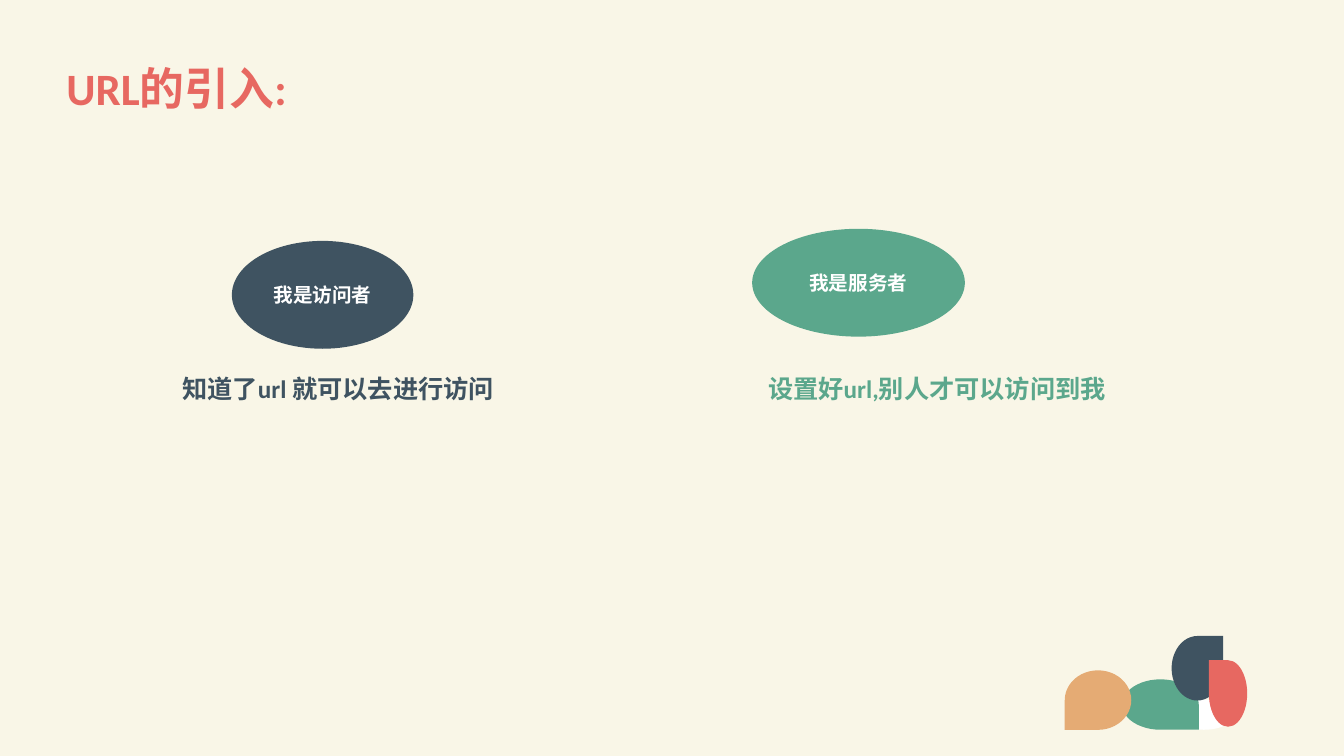
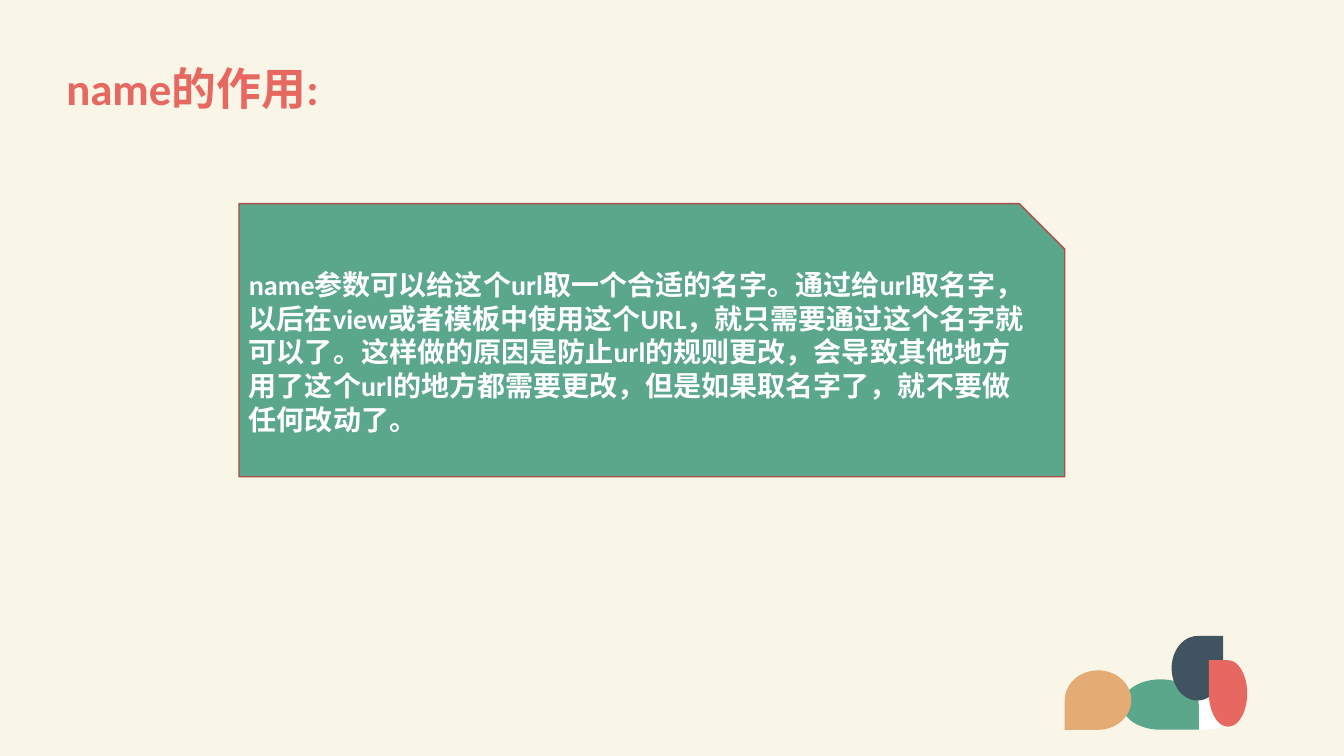
from dataclasses import dataclass

from pptx import Presentation
from pptx.dml.color import RGBColor
from pptx.enum.lang import MSO_LANGUAGE_ID as LANG
from pptx.enum.shapes import MSO_SHAPE as SHAPE
from pptx.enum.text import MSO_ANCHOR as ANCHOR, PP_ALIGN as ALIGN
from pptx.util import Inches, Pt


@dataclass(frozen=True)
class Theme:
    """Colours, font and type sizes shared by the slides."""
    cream: str = "F9F6E7"
    coral: str = "E76861"
    green: str = "5BA78C"
    navy: str = "3F5361"
    sand: str = "E5AB74"
    brick: str = "AB4D48"
    white: str = "FFFFFF"
    font: str = "Calibri"
    title: int = 32
    body: int = 20
    caption: int = 18
    label: int = 14


T = Theme()
TITLE_BOX = (0.56, 0.37, 12.29, 1.06)
DECOR_BOX = (10.56, 6.31, 1.8, 0.93)
PETALS = [
    (0.57, 0.43, 0.76, 0.5, T.green, "flipV"),
    (1.06, 0, 0.51, 0.64, T.navy, None),
    (1.43, 0.24, 0.38, 0.66, T.coral, "flipH"),
    (0, 0.34, 0.66, 0.59, T.sand, "both"),
]


def rgb(value):
    """Turn a hex string into a colour."""
    return RGBColor.from_string(value)


def write(sp, text, size, color, align=ALIGN.LEFT, anchor=ANCHOR.MIDDLE, spacing=None):
    """Put one bold paragraph into a shape."""
    tf = sp.text_frame
    tf.word_wrap = True
    tf.vertical_anchor = anchor
    p = tf.paragraphs[0]
    p.text = text
    p.alignment = align
    p.line_spacing = spacing
    for r in p.runs:
        r.font.name = T.font
        r.font.size = Pt(size)
        r.font.bold = True
        r.font.color.rgb = rgb(color)
        r.font.language_id = LANG.SIMPLIFIED_CHINESE


def add_text(slide, box, text, size, color, **style):
    """Add a text box filling the given box."""
    sp = slide.shapes.add_textbox(*map(Inches, box))
    write(sp, text, size, color, **style)


def add_filled(slide, kind, box, fill, line=None):
    """Add a flat preset shape with an optional outline."""
    sp = slide.shapes.add_shape(kind, *map(Inches, box))
    sp.shadow.inherit = False
    sp.fill.solid()
    sp.fill.fore_color.rgb = rgb(fill)
    if line:
        sp.line.color.rgb = rgb(line)
        sp.line.width = Pt(1)
    else:
        sp.line.fill.background()
    return sp


def add_decor(slide, box):
    """Draw the cluster of petals inside its box."""
    left, top = box[:2]
    add_filled(slide, SHAPE.OVAL, (left + 1.08, top + 0.63, 0.6, 0.3), T.white)
    for x, y, w, h, fill, flip in PETALS:
        sp = add_filled(slide, SHAPE.TEAR, (left + x, top + y, w, h), fill)
        if flip == "both":
            sp.rotation = 180
        elif flip:
            sp._element.spPr.xfrm.set(flip, "1")


def add_base(prs, title):
    """Add a slide with background, title and corner petals."""
    slide = prs.slides.add_slide(prs.slide_layouts[6])
    slide.background.fill.solid()
    slide.background.fill.fore_color.rgb = rgb(T.cream)
    add_text(slide, TITLE_BOX, title, T.title, T.coral, spacing=0.9)
    add_decor(slide, DECOR_BOX)
    return slide


def add_role(slide, oval_box, label, caption_box, caption, color):
    """Add a labelled oval with a caption in its colour."""
    sp = add_filled(slide, SHAPE.OVAL, oval_box, color)
    write(sp, label, T.label, T.white, align=ALIGN.CENTER)
    add_text(slide, caption_box, caption, T.caption, color,
             anchor=ANCHOR.TOP, spacing=1.2)


def add_roles_slide(prs):
    """Build the slide comparing visitor and server."""
    slide = add_base(prs, "URL的引入:")
    add_role(slide, (2.3, 2.39, 1.8, 1.07), "我是访问者",
             (1.71, 3.59, 3.67, 0.66), "知道了url 就可以去进行访问", T.navy)
    add_role(slide, (7.46, 2.27, 2.11, 1.07), "我是服务者",
             (7.52, 3.59, 3.7, 0.66), "设置好url,别人才可以访问到我", T.green)


def add_name_slide(prs):
    """Build the slide explaining the name parameter."""
    slide = add_base(prs, "name的作用:")
    sp = add_filled(slide, SHAPE.SNIP_1_RECTANGLE, (2.37, 2.02, 8.19, 2.71),
                    T.green, T.brick)
    write(sp, "name参数可以给这个url取一个合适的名字。通过给url取名字，"
              "以后在view或者模板中使用这个URL，就只需要通过这个名字就可以了。"
              "这样做的原因是防止url的规则更改，会导致其他地方用了这个url的地方都需要更改，"
              "但是如果取名字了，就不要做任何改动了。", T.body, T.white)


def main():
    """Build and save the deck."""
    prs = Presentation()
    prs.slide_width, prs.slide_height = Inches(13.33), Inches(7.5)
    add_roles_slide(prs)
    add_name_slide(prs)
    prs.save("out.pptx")


if __name__ == "__main__":
    main()
